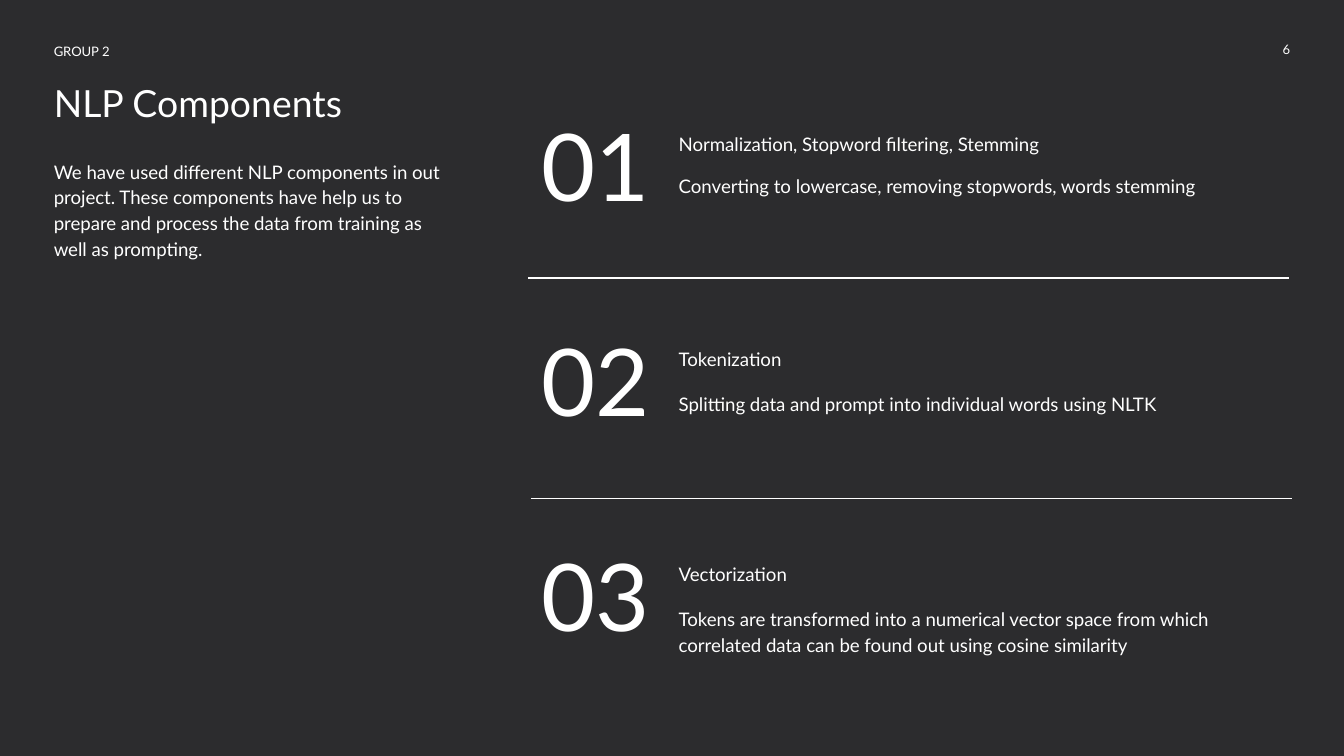
import pptx
import pptx.util
import pptx.dml.color
import pptx.enum.shapes
import pptx.enum.text
import lxml.etree

Pt = pptx.util.Pt
Align = pptx.enum.text.PP_ALIGN
Anchor = pptx.enum.text.MSO_ANCHOR

FONT, INK, BACK = "Lato", "FFFFFF", "2C2C2E"
TITLE = "NLP Components"
GROUP, PAGE = "GROUP 2", "6"
INTRO = ("We have used different NLP components in out project. "
         "These components have help us to prepare and process the data "
         "from training as well as prompting.")
STEPS = [
    ("Normalization, Stopword filtering, Stemming",
     "Converting to lowercase, removing stopwords, words stemming", 19.5),
    ("Tokenization",
     "Splitting data and prompt into individual words using NLTK", 21),
    ("Vectorization",
     "Tokens are transformed into a numerical vector space from which "
     "correlated data can be found out using cosine similarity", 21),
]
RULES = [(283, 149), (284.4, 267.1)]
RULE_WIDTH = 407.5
LEFT, RIGHT, TEXT_LEFT = 28.8, 691.2, 363.6
FIRST, PITCH = 69.1, 115.2


def color(code):
    return pptx.dml.color.RGBColor.from_string(code)


def write(box, text, size, ins=(0, 0, 0, 0), anchor=Anchor.TOP,
          align=Align.LEFT, lead=1.15):
    frame = box.text_frame
    frame.word_wrap = True
    frame.auto_size = pptx.enum.text.MSO_AUTO_SIZE.NONE
    frame.vertical_anchor = anchor
    (frame.margin_left, frame.margin_top,
     frame.margin_right, frame.margin_bottom) = map(Pt, ins)
    para = frame.paragraphs[0]
    para.text = text
    para.alignment = align
    para.line_spacing = lead
    para.font.name = FONT
    para.font.size = Pt(size)
    para.font.color.rgb = color(INK)


def label(slide, area, text, size, **style):
    write(slide.shapes.add_textbox(*map(Pt, area)), text, size, **style)


def rule(slide, left, top):
    line = slide.shapes.add_connector(
        pptx.enum.shapes.MSO_CONNECTOR.STRAIGHT,
        Pt(left), Pt(top), Pt(left + RULE_WIDTH), Pt(top))
    line.line.color.rgb = color(INK)
    line.line.width = Pt(0.75)
    lxml.etree.SubElement(line._element.spPr,
                          pptx.oxml.ns.qn("a:effectLst"))


def main():
    deck = pptx.Presentation()
    deck.slide_width, deck.slide_height = Pt(720), Pt(405)
    slide = deck.slides.add_slide(deck.slide_layouts[5])
    fill = slide.background.fill
    fill.solid()
    fill.fore_color.rgb = color(BACK)

    title = slide.shapes.title
    title.left, title.top, title.width, title.height = map(
        Pt, (LEFT, 42.5, 658.8, 24.5))
    write(title, TITLE, 20, anchor=Anchor.BOTTOM)

    label(slide, (LEFT, 17.3, 327.6, 18.7), GROUP, 7, anchor=Anchor.MIDDLE)
    label(slide, (RIGHT - 43.2, 17.3, 43.2, 18.7), PAGE, 7,
          anchor=Anchor.MIDDLE, align=Align.RIGHT, lead=1)
    label(slide, (LEFT, 84.2, 212.4, 170), INTRO, 10)

    for i, (head, body, gap) in enumerate(STEPS):
        top = FIRST + i * PITCH
        label(slide, (283, top - 16, 72.7, 72), f"{i + 1:02}", 50,
              ins=(7.2, 7.2, 0, 7.2), anchor=Anchor.BOTTOM, lead=1)
        label(slide, (TEXT_LEFT, top, 276.5, 18), head, 10)
        label(slide, (TEXT_LEFT, top + gap, 311, 50), body, 10,
              ins=(0, 3.6, 0, 0))

    for left, top in RULES:
        rule(slide, left, top)

    deck.save("out.pptx")


if __name__ == "__main__":
    main()
